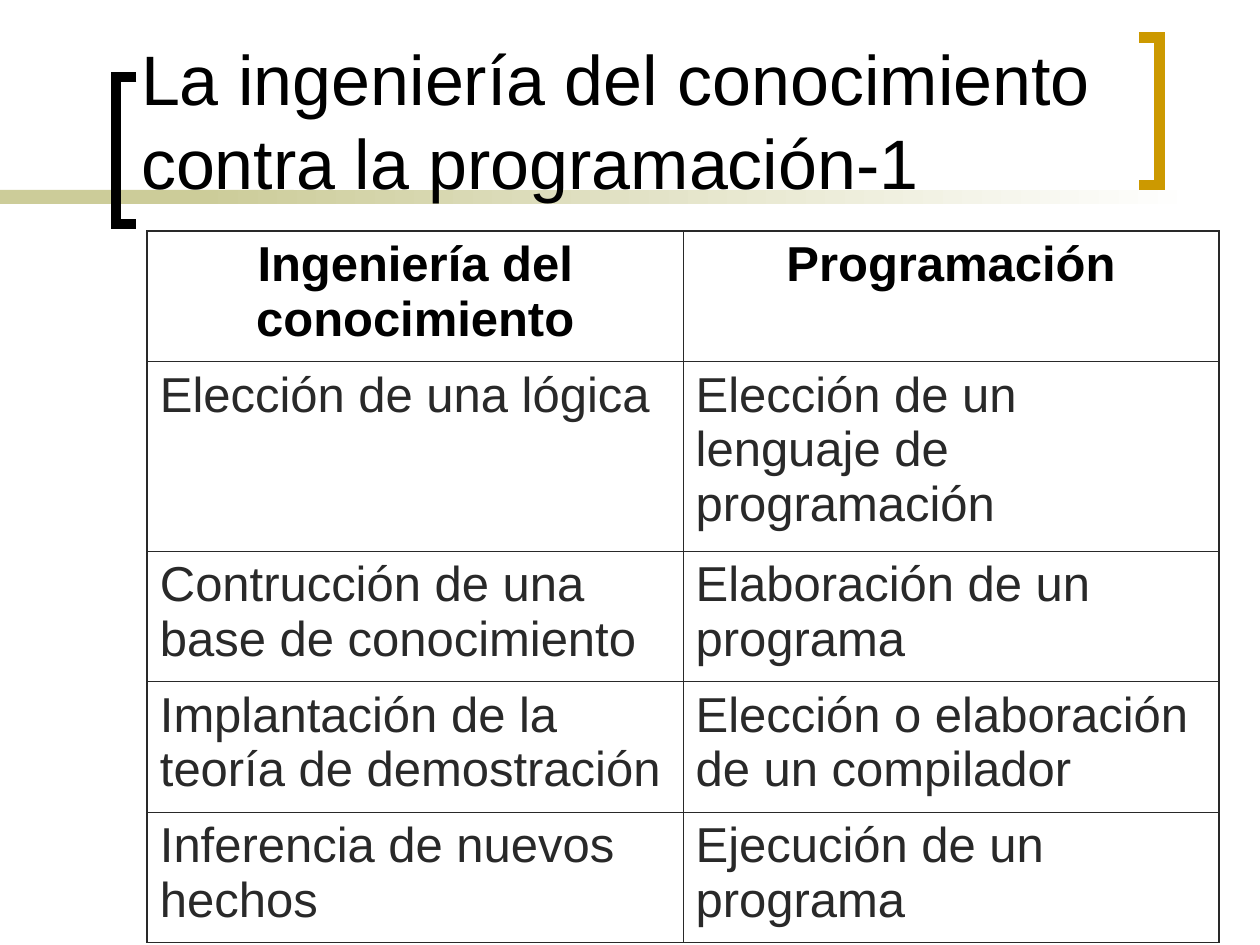
"""Build the slide comparing knowledge engineering with programming."""
from lxml import etree
from pptx import Presentation
from pptx import util as u
from pptx.dml.color import RGBColor
from pptx.enum import shapes, text
from pptx.oxml import ns


def rgb(value):
    """Return the colour for a hex string."""
    return RGBColor.from_string(value)


def add(parent, tag, **attrs):
    """Append a drawing element to its parent."""
    return etree.SubElement(parent, ns.qn(tag), attrs)


prs = Presentation()
prs.slide_width, prs.slide_height = u.Cm(25.4), u.Cm(19.05)
s = prs.slides.add_slide(prs.slide_layouts[5])

for left, width in ((0, 5.92), (4.01, 20.12)):
    sp = s.shapes.add_shape(shapes.MSO_SHAPE.RECTANGLE, u.Cm(left), u.Cm(3.83), u.Cm(width), u.Cm(0.28))
    sp.shadow.inherit = False
    sp.line.fill.background()
    if left:
        sp.fill.gradient()
        sp.fill.gradient_angle = 0
        for stop, colour in zip(sp.fill.gradient_stops, ("CCCC99", "FFFFFF")):
            stop.color.rgb = rgb(colour)
    else:
        sp.fill.solid()
        sp.fill.fore_color.rgb = rgb("CCCC99")

for tip, spine, top, colour in ((2.75, 2.34, 1.55, "000000"), (22.96, 23.37, 0.76, "CC9900")):
    bottom = top + 2.97
    points = [(u.Cm(x), u.Cm(y)) for x, y in ((tip, top), (spine, top), (spine, bottom), (tip, bottom))]
    fb = s.shapes.build_freeform(*points[0])
    fb.add_line_segments(points[1:], close=False)
    sp = fb.convert_to_shape()
    sp.shadow.inherit = False
    sp.fill.background()
    sp.line.color.rgb = rgb(colour)
    sp.line.width = u.Pt(6)
    add(sp.line._get_or_add_ln(), "a:miter", lim="800000")

title = s.shapes.title
s.shapes._spTree.append(title._element)
box = {"left": 2.59, "top": 0.28, "width": 19.89, "height": 3.94}
for name, value in box.items():
    setattr(title, name, u.Cm(value))
tf = title.text_frame
tf.text = "La ingeniería del conocimiento contra la programación-1"
frame = {"word_wrap": True, "auto_size": text.MSO_AUTO_SIZE.NONE, "vertical_anchor": text.MSO_ANCHOR.BOTTOM}
for name, value in frame.items():
    setattr(tf, name, value)
p = tf.paragraphs[0]
p.alignment = text.PP_ALIGN.LEFT
for name, value in {"name": "Arial", "size": u.Pt(40), "bold": False}.items():
    setattr(p.font, name, value)
p.font.color.rgb = rgb("000000")

rows = [
    ("Ingeniería del conocimiento", "Programación"),
    ("Elección de una lógica", "Elección de un lenguaje de programación"),
    ("Contrucción de una base de conocimiento", "Elaboración de un programa"),
    ("Implantación de la teoría de demostración", "Elección o elaboración de un compilador"),
    ("Inferencia de nuevos hechos", "Ejecución de un programa"),
]
heights = [2.63, 3.82, 2.63, 2.63, 2.63]
table = s.shapes.add_table(len(rows), 2, u.Cm(2.97), u.Cm(4.66), u.Cm(21.6), u.Cm(sum(heights))).table
for column in table.columns:
    column.width = u.Cm(10.8)
for i, (height, row) in enumerate(zip(heights, rows)):
    table.rows[i].height = u.Cm(height)
    for j, words in enumerate(row):
        cell = table.cell(i, j)
        cell.text = words
        p = cell.text_frame.paragraphs[0]
        p.alignment = text.PP_ALIGN.LEFT if i else text.PP_ALIGN.CENTER
        for name, value in {"name": "Arial", "size": u.Pt(28), "bold": i == 0}.items():
            setattr(p.font, name, value)
        p.font.color.rgb = rgb("292929" if i else "000000")
        outer = {"a:lnL": j == 0, "a:lnR": j == 1, "a:lnT": i == 0, "a:lnB": i == len(rows) - 1}
        for tag, thick in outer.items():
            ln = add(cell._tc.get_or_add_tcPr(), tag, w=str(u.Pt(1.08 if thick else 0.45)))
            add(add(ln, "a:solidFill"), "a:srgbClr", val="292929")
        cell.fill.background()

prs.save("out.pptx")
